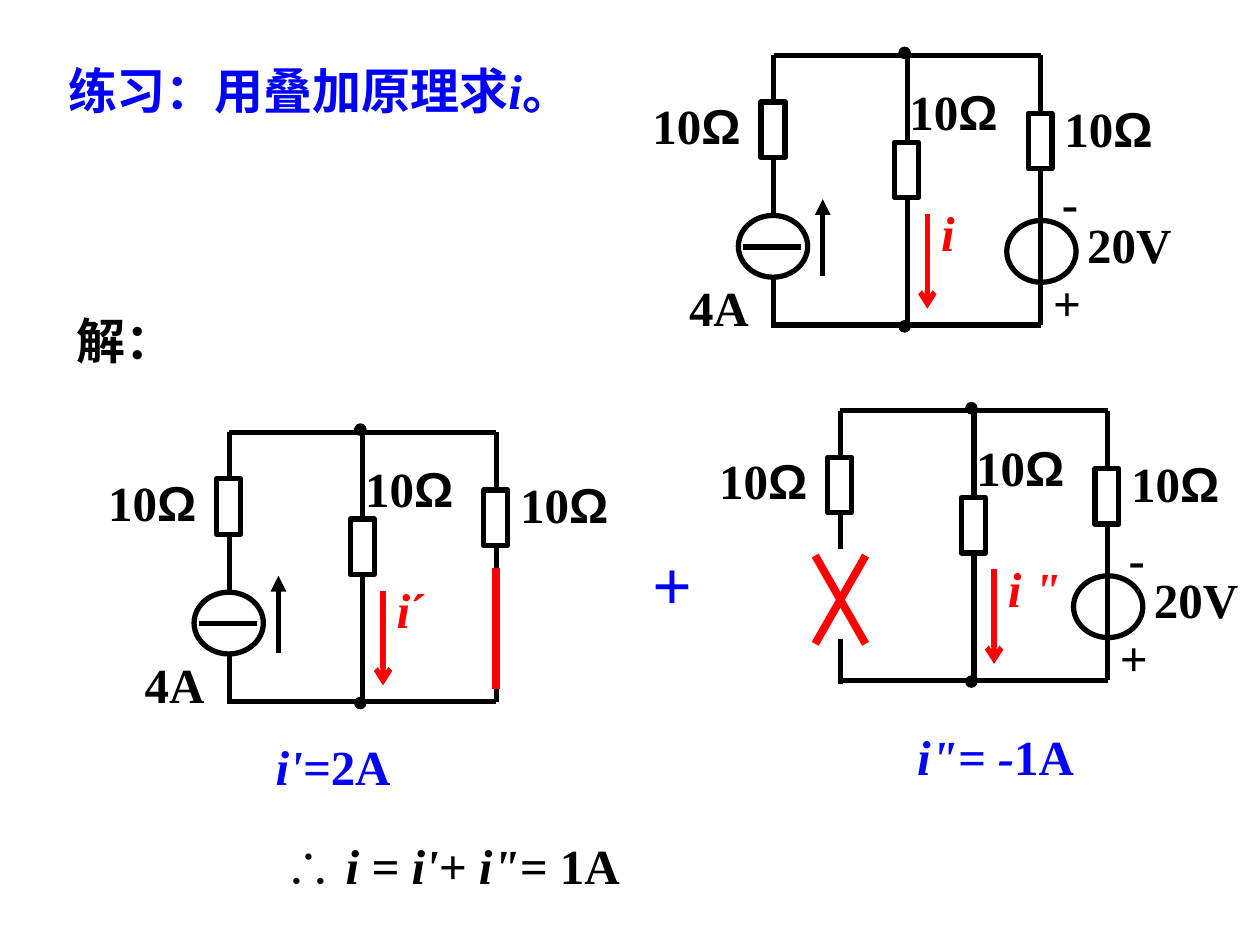
from lxml import etree
from pptx import Presentation
from pptx import util as u
from pptx.dml.color import RGBColor
from pptx.enum import shapes, text
from pptx.oxml.ns import qn

BLACK, WHITE, RED, BLUE = "000000", "FFFFFF", "FF0000", "0000FF"
SERIF, SANS = "Times New Roman", "Arial"

# Content: a run is (text, italic, font)
TITLE = [("练习：用叠加原理求", False, SERIF), ("i", True, SERIF), ("。", False, SERIF)]
OHMS = [("10", False, SERIF), ("Ω", False, SANS)]

# Each circuit: top left corner, active sources, runs of the current's name
CIRCUITS = [
    {"origin": (6.14, 0.44), "current": True, "voltage": True,
     "name": [("i", True, SERIF)]},
    {"origin": (1.82, 3.43), "current": True, "voltage": False,
     "name": [("i", True, SERIF), ("´", False, SERIF)]},
    {"origin": (6.67, 3.26), "current": False, "voltage": True,
     "name": [('i "', True, SERIF)]},
]

# Free text: left, top, width, size, colour, runs
NOTES = [
    (0.51, 2.18, 1.19, 28, BLACK, [("解：", False, SERIF)]),
    (5.08, 3.91, 0.55, 40, BLUE, [("+", False, SERIF)]),
    (2.09, 5.56, 1.57, 28, BLUE, [("i'=", True, SERIF), ("2A", False, SERIF)]),
    (7.18, 5.48, 1.76, 28, BLUE, [('i"= -', True, SERIF), ("1A", False, SERIF)]),
    (2.16, 6.35, 2.98, 28, BLACK,
     [("∴", True, SANS), (" i = i'+ i\"= ", True, SERIF), ("1A", False, SERIF)]),
]

# Circuit grid, relative to the top left corner
MIDDLE, RIGHT, BOTTOM = 1.06, 2.12, 2.14
# Resistors: centre x, top; then left and top of the value
RESISTORS = [(0, 0.37, -1.06, 0.27), (MIDDLE, 0.69, 0.98, 0.16), (RIGHT, 0.46, 2.21, 0.29)]

deck = Presentation()
deck.slide_width, deck.slide_height = u.Inches(10), u.Inches(7.5)
page = deck.slides.add_slide(deck.slide_layouts[5])


def colour(value):
    return RGBColor.from_string(value)


def write(box, runs, size, ink, spacing):
    frame = box.text_frame
    frame.word_wrap = True
    frame.vertical_anchor = text.MSO_ANCHOR.TOP
    para = frame.paragraphs[0]
    para.alignment = text.PP_ALIGN.LEFT
    para.line_spacing = spacing
    para.font.size = u.Pt(size)
    para.font.bold = True
    para.font.color.rgb = colour(ink)
    for words, italic, font in runs:
        span = para.add_run()
        span.text = words
        span.font.italic = italic
        span.font.name = font


def label(left, top, width, runs, size=28, ink=BLACK, spacing=1.5):
    height = size / 35 if spacing > 1 else 0.57
    box = page.shapes.add_textbox(*map(u.Inches, (left, top, width, height)))
    box.text_frame.auto_size = text.MSO_AUTO_SIZE.SHAPE_TO_FIT_TEXT
    write(box, runs, size, ink, spacing)


def line(x1, y1, x2, y2, ink=BLACK, width=3, arrow=None):
    wire = page.shapes.add_connector(shapes.MSO_CONNECTOR.STRAIGHT,
                                     *map(u.Inches, (x1, y1, x2, y2)))
    wire.line.color.rgb = colour(ink)
    wire.line.width = u.Pt(width)
    if arrow:
        etree.SubElement(wire.line._get_or_add_ln(), qn("a:tailEnd"), type=arrow)
    etree.SubElement(wire._element.spPr, qn("a:effectLst"))


def shape(kind, left, top, width, height, fill=WHITE, outlined=True):
    part = page.shapes.add_shape(kind, *map(u.Inches, (left, top, width, height)))
    part.shadow.inherit = False
    part.fill.solid()
    part.fill.fore_color.rgb = colour(fill)
    if outlined:
        part.line.color.rgb = colour(BLACK)
        part.line.width = u.Pt(3)
    else:
        part.line.fill.background()


def draw_circuit(circuit):
    x, y = circuit["origin"]
    oval = shapes.MSO_SHAPE.OVAL

    # Voltage source lies behind its wire
    if circuit["voltage"]:
        shape(oval, x + 1.85, y + 1.31, 0.55, 0.49)

    # Wires
    for level in (0, BOTTOM):
        line(x, y + level, x + RIGHT, y + level)
    for column in (MIDDLE, RIGHT):
        line(x + column, y, x + column, y + BOTTOM)
    left_wires = [(0, 2.16)] if circuit["current"] else [(0, 1.1), (1.81, 2.17)]
    for start, end in left_wires:
        line(x, y + start, x, y + end)

    # Resistors and nodes
    for centre, top, label_left, label_top in RESISTORS:
        shape(shapes.MSO_SHAPE.RECTANGLE, x + centre - 0.1, y + top, 0.19, 0.44)
        label(x + label_left, y + label_top, 0.93, OHMS, spacing=1)
    for level in (-0.07, 2.1):
        shape(oval, x + 0.99, y + level, 0.1, 0.1, BLACK, False)

    # Unknown current
    line(x + 1.22, y + 1.26, x + 1.22, y + 2.01, RED, arrow="arrow")
    label(x + 1.23, y + 1.12, 0.81, circuit["name"], ink=RED, spacing=1)

    # Current source, or a cross over the open branch
    if circuit["current"]:
        shape(oval, x - 0.28, y + 1.27, 0.55, 0.49)
        line(x - 0.24, y + 1.52, x + 0.22, y + 1.52)
        line(x + 0.39, y + 1.75, x + 0.39, y + 1.14, arrow="triangle")
        label(x - 0.77, y + 1.48, 0.75, [("4A", False, SERIF)])
    else:
        for side in (-0.2, 0.2):
            line(x + side, y + 1.15, x - side, y + 1.85, RED, 4.5)

    # Voltage source labels, or a short circuit
    if circuit["voltage"]:
        label(x + 2.12, y + 1.44, 0.45, [("+", False, SERIF)])
        label(x + 2.19, y + 0.65, 0.35, [("-", False, SERIF)])
        label(x + 2.39, y + 0.98, 0.93, [("20V", False, SERIF)])
    else:
        line(x + RIGHT, y + 1.08, x + RIGHT, y + 2.04, RED, 4.5)


# Title
title = page.shapes.title
title.left, title.top, title.width, title.height = map(u.Inches, (0.44, 0.43, 5.51, 0.57))
title.text_frame.auto_size = text.MSO_AUTO_SIZE.NONE
write(title, TITLE, 28, BLUE, 1)

# Circuits, then working and result
for item in CIRCUITS:
    draw_circuit(item)
for left, top, width, size, ink, runs in NOTES:
    label(left, top, width, runs, size, ink)

deck.save("out.pptx")
